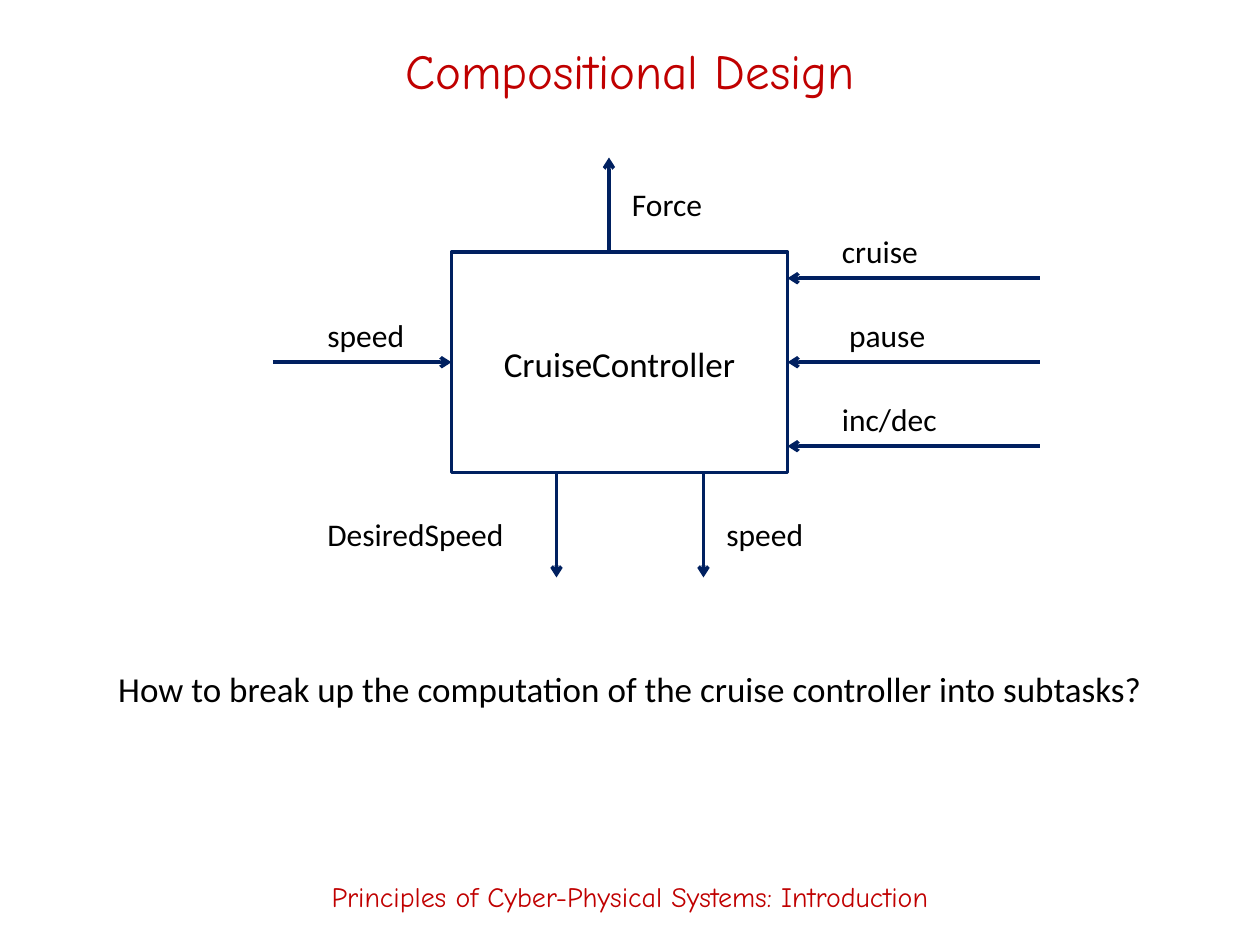
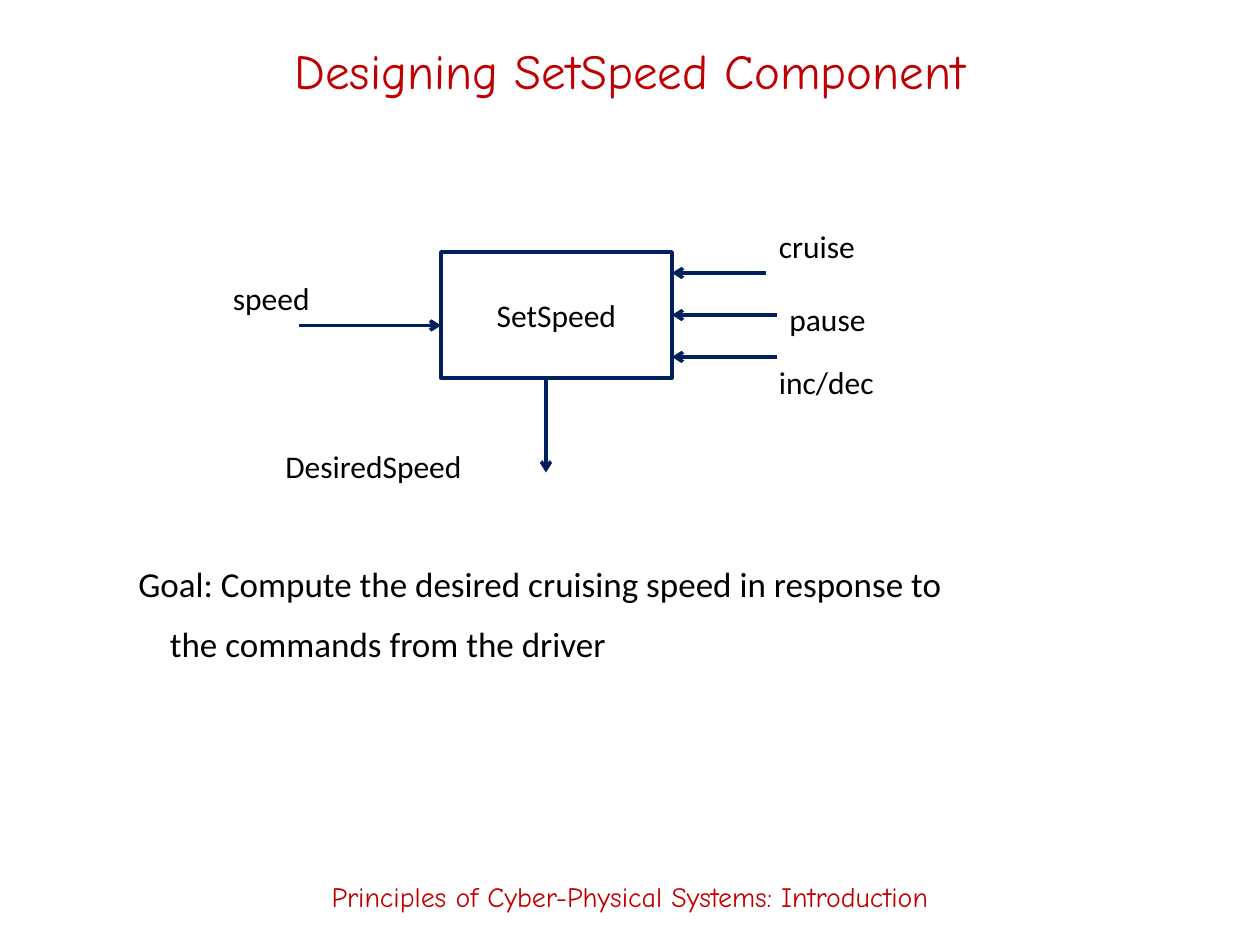
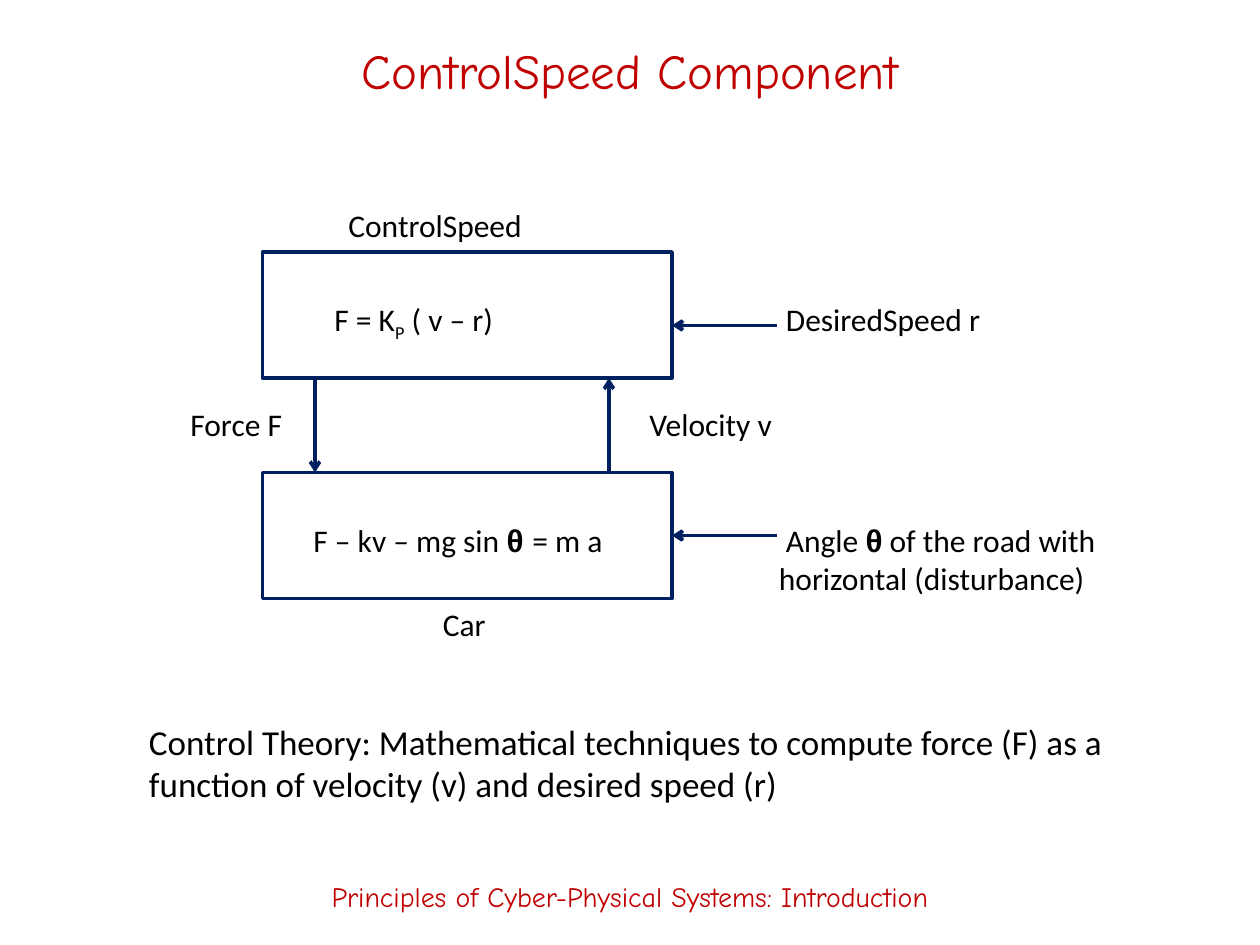
from lxml import etree
from pptx import Presentation
from pptx.dml.color import RGBColor
from pptx.enum.shapes import MSO_CONNECTOR, MSO_SHAPE
from pptx.enum.text import MSO_ANCHOR, PP_ALIGN
from pptx.oxml.ns import qn
from pptx.util import Inches, Pt

RED = RGBColor(0xC0, 0x00, 0x00)
NAVY = RGBColor(0x00, 0x20, 0x60)
BLACK = RGBColor(0x00, 0x00, 0x00)

COLS, ROWS = 120, 90
LABEL_ROWS = 5
LINE_WIDTH = Pt(2)
TOP, LEFT, BOTTOM, RIGHT = range(4)
CENTER = PP_ALIGN.CENTER

LABEL = {"name": "Calibri", "size": Pt(18)}
BODY = {"name": "Calibri", "size": Pt(20)}
TITLE = {"name": "Comic Neue", "size": Pt(28)}
FOOTER = {"name": "Comic Neue", "size": Pt(16)}
THETA = {"name": "Arial", "bold": True}
FOOTER_TEXT = "Principles of Cyber-Physical Systems: Introduction"


class Deck:
    """Holds the style and the current slide; lengths are grid columns and rows."""

    def __init__(self):
        self.prs = Presentation()
        self.prs.slide_width = Inches(10)
        self.prs.slide_height = Inches(7.5)
        self.s = None

    def x(self, cols):
        return round(self.prs.slide_width * cols / COLS)

    def y(self, rows):
        return round(self.prs.slide_height * rows / ROWS)

    def frame(self, col, row, width, height):
        return self.x(col), self.y(row), self.x(width), self.y(height)

    def slide(self, title):
        self.s = self.prs.slides.add_slide(self.prs.slide_layouts[6])
        band = {"color": RED, "align": CENTER, "anchor": MSO_ANCHOR.MIDDLE}
        self.text([title], 6, 2, 108, 9.36, TITLE, **band)
        self.text([FOOTER_TEXT], 0, 80.64, 120, 9.36, FOOTER, **band)

    def text(self, paragraphs, col, row, width, height, style, color=BLACK,
             align=PP_ALIGN.LEFT, anchor=MSO_ANCHOR.TOP, indents=()):
        """Each paragraph is a string or a list of (text, format) runs;
        indents gives (left margin, first-line indent) for each paragraph."""
        tf = self.s.shapes.add_textbox(*self.frame(col, row, width, height)).text_frame
        tf.word_wrap = True
        tf.vertical_anchor = anchor
        for i, runs in enumerate(paragraphs):
            p = tf.add_paragraph() if i else tf.paragraphs[0]
            p.alignment = align
            if i:
                p.space_before = style["size"] // 2
            if i < len(indents):
                pPr = p._p.get_or_add_pPr()
                for name, value in zip(("marL", "indent"), indents[i]):
                    pPr.set(name, str(int(value)))
            for words, extra in [(runs, {})] if isinstance(runs, str) else runs:
                self.run(p, words, color, {**style, **extra})

    def run(self, p, words, color, fmt):
        r = p.add_run()
        r.text = words
        r.font.color.rgb = color
        for name, value in fmt.items():
            if name == "baseline":
                r._r.get_or_add_rPr().set(name, str(value))
            else:
                setattr(r.font, name, value)

    def label(self, words, col, row, width=15, height=LABEL_ROWS, style=LABEL,
              align=PP_ALIGN.LEFT, first=0):
        self.text([words], col, row, width, height, style, align=align,
                  indents=[(0, Pt(first))] if first else ())

    def box(self, col, row, width, height):
        sp = self.s.shapes.add_shape(MSO_SHAPE.RECTANGLE,
                                     *self.frame(col, row, width, height))
        sp.shadow.inherit = False
        sp.fill.background()
        sp.line.color.rgb = NAVY
        sp.line.width = LINE_WIDTH
        return sp

    def arrow(self, start, end, box=None, side=None):
        """Arrow pointing at end, joined to a box when it meets a side's middle."""
        c = self.s.shapes.add_connector(
            MSO_CONNECTOR.STRAIGHT, self.x(start[0]), self.y(start[1]),
            self.x(end[0]), self.y(end[1]))
        c.line.color.rgb = NAVY
        c.line.width = LINE_WIDTH
        etree.SubElement(c.line._get_or_add_ln(), qn("a:tailEnd"), type="arrow")
        etree.SubElement(c._element.spPr, qn("a:effectLst"))
        if box is not None:
            c.end_connect(box, side)


def compositional_design(d):
    d.slide("Compositional Design")
    controller = d.box(43, 24, 32, 21)
    d.label("CruiseController", 46.5, 32, 25, style=BODY, align=CENTER)

    # Driver commands, evenly spaced on the right
    commands = [("cruise", 79, 15, PP_ALIGN.LEFT), ("pause", 75, 19, CENTER),
                ("inc/dec", 79, 15, PP_ALIGN.LEFT)]
    for i, (name, col, width, align) in enumerate(commands):
        row = 26.5 + 8 * i
        joined = (controller, RIGHT) if name == "pause" else ()
        d.arrow((99, row), (75, row), *joined)
        d.label(name, col, row - LABEL_ROWS, width, align=align)

    # Measured speed
    d.arrow((26, 34.5), (43, 34.5), controller, LEFT)
    d.label("speed", 30, 34.5 - LABEL_ROWS)

    # Outputs
    for name, arrow_col, label_col, width in [("speed", 67, 68, 15),
                                              ("DesiredSpeed", 53, 30, 24)]:
        d.arrow((arrow_col, 45), (arrow_col, 55))
        d.label(name, label_col, 48.5, width)
    d.arrow((58, 24), (58, 15))
    d.label("Force", 59, 17)

    d.text(["How to break up the computation of the cruise controller into subtasks?"],
           8, 63, 104, 5.3, BODY, align=CENTER)


def set_speed(d):
    d.slide("Designing SetSpeed Component")
    component = d.box(42, 24, 22, 12)
    d.label("SetSpeed", 44, 27.6, 18, align=CENTER)

    # Driver commands
    for i, (name, col, label_col, label_row) in enumerate(
            [("cruise", 73, 73, 21), ("pause", 74, 74, 28), ("inc/dec", 74, 73, 34)]):
        row = 26 + 4 * i
        joined = (component, RIGHT) if name == "pause" else ()
        d.arrow((col, row), (64, row), *joined)
        d.label(name, label_col, label_row)

    # Measured speed and output
    d.arrow((28.5, 31), (42, 31))
    d.label("speed", 21, 26)
    d.arrow((52, 36), (52, 45))
    d.label("DesiredSpeed", 26, 42, 24)

    d.text(["Goal: Compute the desired cruising speed in response to",
            "the commands from the driver"],
           12, 53, 95, 11.3, BODY, indents=[(0, 0), (Inches(0.25), 0)])


def control_speed(d):
    d.slide("ControlSpeed Component")

    # Controller and car
    d.box(25, 24, 39, 12)
    d.label("ControlSpeed", 32, 19, 22)
    d.label([("F = K", {}), ("P", {"baseline": -25000}), (" ( v – r)", {})],
            30, 28, 26, first=4)
    car = d.box(25, 45, 39, 12)
    d.label("Car", 41, 57, 18)
    d.label([("F – kv – mg sin ", {}), ("θ ", THETA), ("= m a", {})],
            28, 49, 36, first=4)

    # Feedback between them
    d.arrow((30, 36), (30, 45))
    d.label("Force F", 13, 38, 19, align=CENTER)
    d.arrow((58, 45), (58, 36))
    d.label("Velocity v", 60, 38, 27, first=4)

    # Outside inputs
    d.arrow((74, 31), (64, 31))
    d.label("DesiredSpeed r", 73, 28, 27, first=4)
    d.arrow((74, 51), (64, 51), car, RIGHT)
    d.label([("Angle ", {}), ("θ", THETA),
             (" of the road with horizontal (disturbance)", {})],
            73, 49, 40, 8.5, first=4)

    d.text(["Control Theory: Mathematical techniques to compute force (F) as a "
            "function of velocity (v) and desired speed (r)"],
           13, 68, 100, 9.2, BODY)


def main():
    d = Deck()
    for build in (compositional_design, set_speed, control_speed):
        build(d)
    d.prs.save("out.pptx")


if __name__ == "__main__":
    main()
